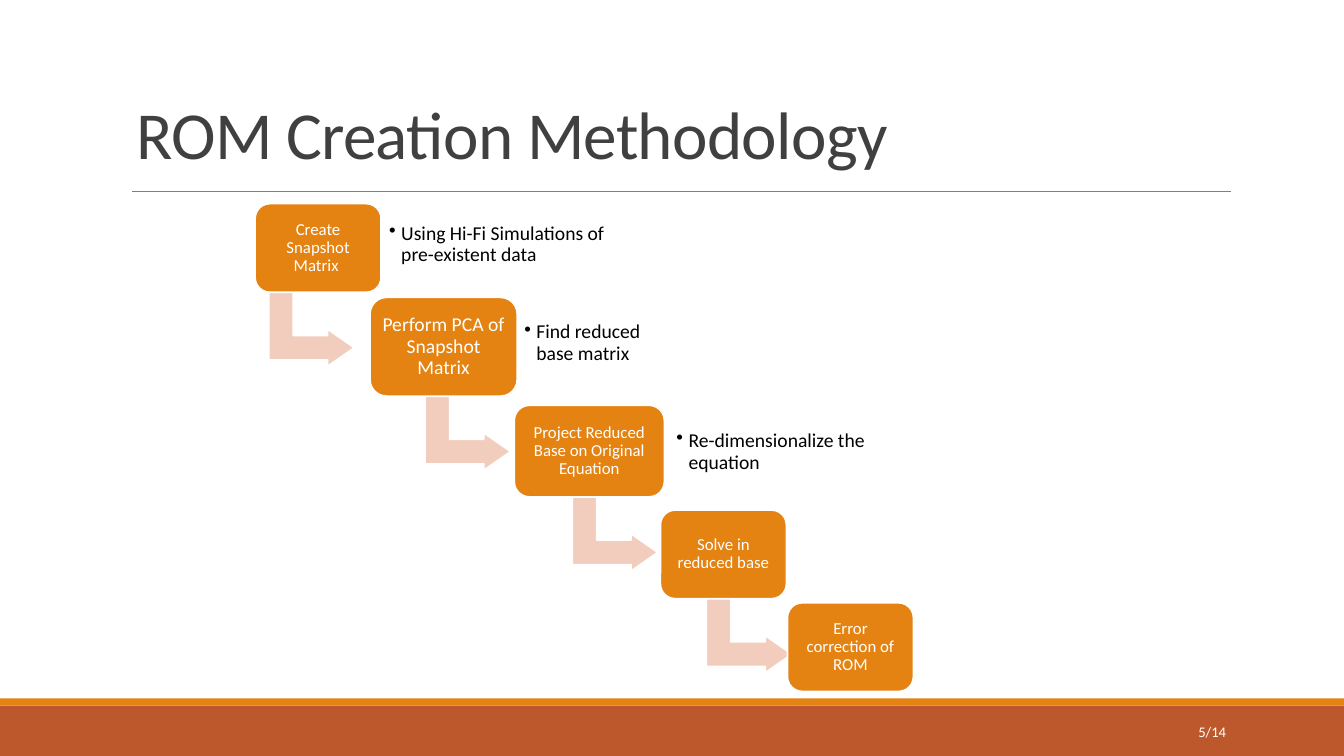
import pptx
import pptx.util
import pptx.dml.color
import pptx.enum.shapes
import pptx.enum.text
import pptx.oxml
import pptx.oxml.ns
import lxml.etree

RGBColor = pptx.dml.color.RGBColor
SHAPE = pptx.enum.shapes.MSO_SHAPE
ALIGN = pptx.enum.text.PP_ALIGN
ANCHOR = pptx.enum.text.MSO_ANCHOR

# Content, in grid cells: the slide is 133.3 columns by 75 rows
COLUMNS, ROWS = 133.3, 75
TITLE = "ROM Creation Methodology"
PAGE_NUMBER = "5/14"
# Each stage: text, size, box (left, top, width, height), left of its arrow
STAGES = [
    ("Create Snapshot Matrix ", 12, (25.3, 20.2, 12.5, 8.8), 27.2),
    ("Perform PCA of Snapshot Matrix", 14, (36.7, 29.5, 14.6, 9.8), 42.7),
    ("Project Reduced Base on Original Equation", 12, (51, 40.2, 14.9, 9.1), 57.3),
    ("Solve in reduced base", 12, (65.5, 50.6, 12.5, 8.8), 70.6),
    ("Error correction of ROM", 12, (78.1, 59.8, 12.5, 8.8), None),
]
NOTES = [
    ("Using Hi-Fi Simulations of pre-existent data", (38, 20.9, 26, 6.7)),
    ("Find reduced base matrix", (51.4, 30.5, 16, 7.1)),
    ("Re-dimensionalize the equation", (66.5, 41.3, 25.3, 7.1)),
]
ARROW_WIDTH, ARROW_HEIGHT, ARROW_OVERLAP = 7.4, 8.5, 0.6
ARROW_ADJUSTMENTS = (0.33, 0.25, 0.36)

FONT = "Calibri"
WHITE = RGBColor(0xFF, 0xFF, 0xFF)
BLACK = RGBColor(0, 0, 0)
DARK = RGBColor(0x40, 0x40, 0x40)
GRAY = RGBColor(0x80, 0x80, 0x80)
ORANGE = RGBColor(0xE4, 0x83, 0x12)
RUST = RGBColor(0xBD, 0x58, 0x2C)
PEACH = RGBColor(0xF2, 0xCD, 0xBD)

deck = pptx.Presentation()
deck.slide_width = pptx.util.Inches(13.33)
deck.slide_height = pptx.util.Inches(7.5)
page = deck.slides.add_slide(deck.slide_layouts[5])


def place(left, top, width, height):
    across, down = deck.slide_width / COLUMNS, deck.slide_height / ROWS
    return [round(cells * unit) for cells, unit in
            zip((left, top, width, height), (across, down, across, down))]


def add_block(kind, area, fill, outline=None):
    block = page.shapes.add_shape(kind, *place(*area))
    block.shadow.inherit = False
    block.fill.solid()
    block.fill.fore_color.rgb = fill
    if outline is None:
        block.line.fill.background()
    else:
        block.line.color.rgb = outline
        block.line.width = pptx.util.Pt(1.25)
    return block


def write(shape, text, size, color, align, anchor=ANCHOR.MIDDLE, spacing=0.9, inset=None):
    frame = shape.text_frame
    frame.word_wrap = True
    frame.auto_size = pptx.enum.text.MSO_AUTO_SIZE.NONE
    frame.vertical_anchor = anchor
    if inset is not None:
        frame.margin_left = frame.margin_right = pptx.util.Inches(inset)
        frame.margin_top = frame.margin_bottom = pptx.util.Inches(inset)
    para = frame.paragraphs[0]
    para.alignment = align
    para.line_spacing = spacing
    span = para.add_run()
    span.text = text
    span.font.name = FONT
    span.font.size = pptx.util.Pt(size)
    span.font.color.rgb = color
    return para, span


# Footer bands and rule under the title
add_block(SHAPE.RECTANGLE, (0, 70, COLUMNS, 5), RUST)
add_block(SHAPE.RECTANGLE, (0, 69.3, COLUMNS, 0.7), ORANGE)
left, top, width, _ = place(13.1, 19, 109, 0)
rule = page.shapes.add_connector(pptx.enum.shapes.MSO_CONNECTOR.STRAIGHT,
                                 left, top, left + width, top)
rule.line.color.rgb = GRAY
rule.line.width = pptx.util.Pt(0.5)
rule._element.spPr.append(pptx.oxml.parse_xml(
    "<a:effectLst %s/>" % pptx.oxml.ns.nsdecls("a")))

# Title
title = page.shapes.title
title.left, title.top, title.width, title.height = place(12.5, 7.3, 108.3, 10.4)
_, span = write(title, TITLE, 48, DARK, ALIGN.LEFT, ANCHOR.BOTTOM, 0.85)
span._r.get_or_add_rPr().set("spc", "-50")

# Stages, each with an arrow leading to the next
for text, size, box, arrow_left in STAGES:
    if arrow_left is not None:
        arrow_top = box[1] + box[3] - ARROW_OVERLAP
        arrow = add_block(SHAPE.BENT_UP_ARROW,
                          (arrow_left, arrow_top, ARROW_WIDTH, ARROW_HEIGHT),
                          PEACH, WHITE)
        arrow.rotation = 90
        for index, share in enumerate(ARROW_ADJUSTMENTS):
            arrow.adjustments[index] = share
    stage = add_block(SHAPE.ROUNDED_RECTANGLE, box, ORANGE, WHITE)
    write(stage, text, size, WHITE, ALIGN.CENTER, inset=0.05)

# Bulleted notes beside the stages
for text, area in NOTES:
    note = page.shapes.add_textbox(*place(*area))
    para, _ = write(note, text, 14, BLACK, ALIGN.LEFT, inset=0.06)
    indent = pptx.util.Inches(0.12)
    properties = para._p.get_or_add_pPr()
    properties.set("marL", str(indent))
    properties.set("indent", str(-indent))
    bullet = lxml.etree.SubElement(properties, pptx.oxml.ns.qn("a:buChar"))
    bullet.set("char", "•")

# Page number
number = page.shapes.add_textbox(*place(108.3, 70.6, 14.3, 4))
write(number, PAGE_NUMBER, 10.5, WHITE, ALIGN.RIGHT, spacing=1.0)

deck.save("out.pptx")
